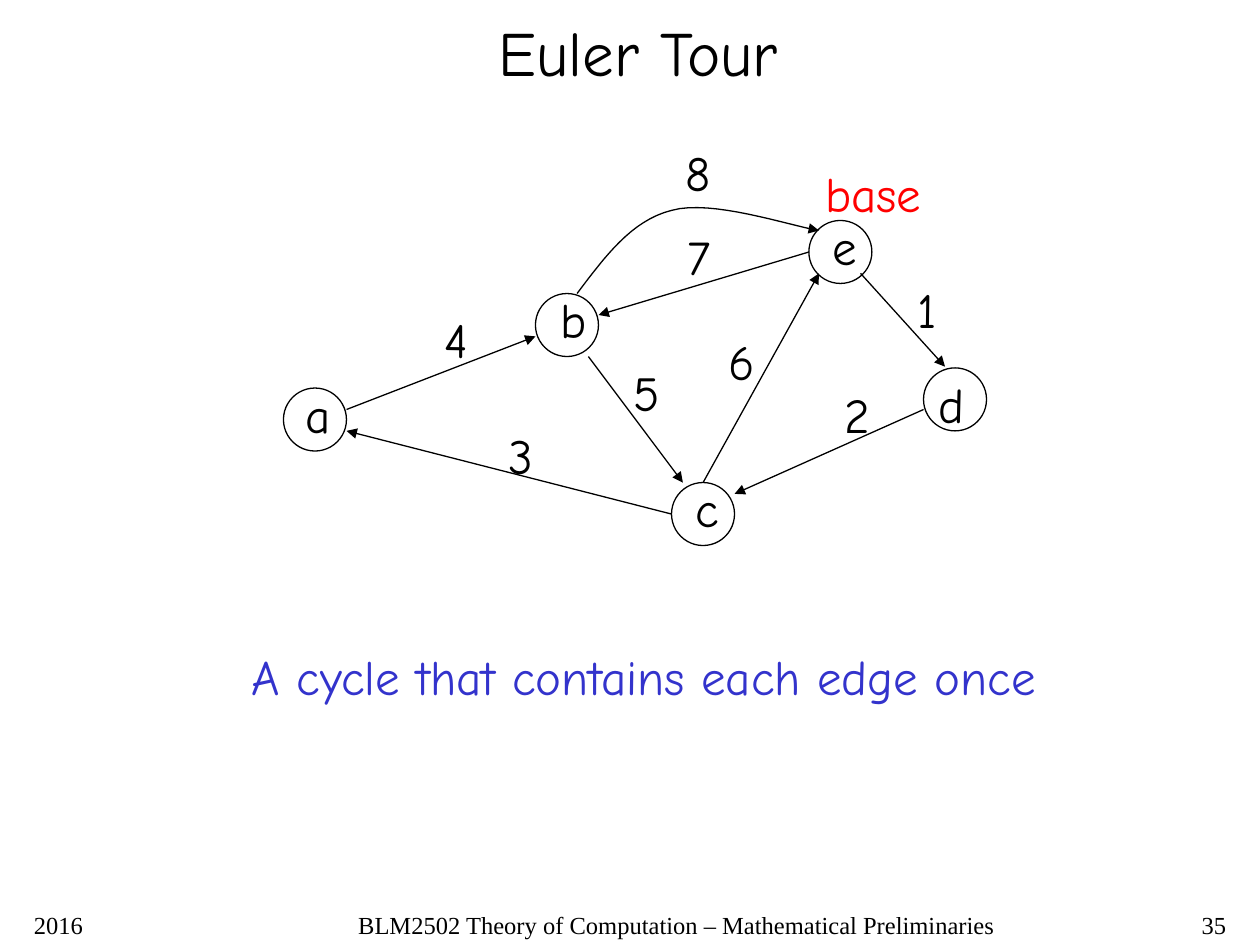
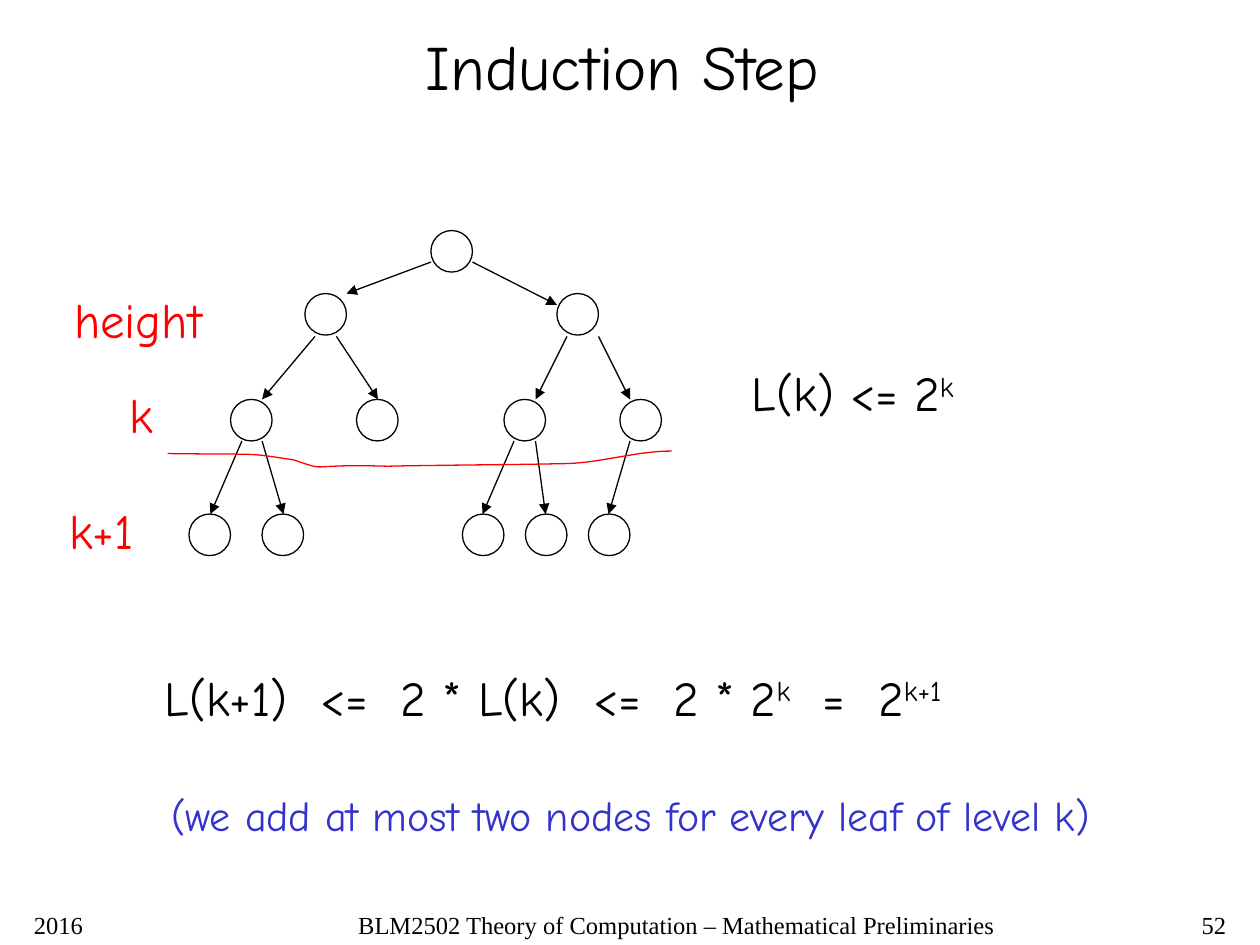
from pptx import Presentation
from pptx.dml.color import RGBColor
from pptx.enum.shapes import MSO_CONNECTOR, MSO_SHAPE
from pptx.enum.text import MSO_AUTO_SIZE, PP_ALIGN
from pptx.oxml.ns import qn
from pptx.util import Inches, Pt
from lxml.etree import SubElement

COLORS = {"ink": "000000", "red": "FF0000", "blue": "3333CC"}
HAND, SERIF = "Comic Neue", "Times New Roman"
STEPS = 16


def color(name):
    return RGBColor.from_string(COLORS[name])


def bezier(a, b, c, d):
    """Points along a cubic curve, without its start."""
    for step in range(1, STEPS + 1):
        t = step / STEPS
        u = 1 - t
        yield tuple(u**3 * p + 3 * u * u * t * q + 3 * u * t * t * r + t**3 * s
                    for p, q, r, s in zip(a, b, c, d))


class Deck:
    def __init__(self):
        self.file = Presentation()
        self.file.slide_width, self.file.slide_height = Inches(10), Inches(7.5)
        self.slide = None

    def page(self, title, left, top, width, number):
        self.slide = self.file.slides.add_slide(self.file.slide_layouts[6])
        self.text(title, left, top, width, height=0.7, size=36)
        foot = dict(top=7.17, height=0.33, size=14, font=SERIF, wrap=True)
        self.text("2016", 0.17, width=1.75, **foot)
        self.text("BLM2502 Theory of Computation – Mathematical Preliminaries",
                  2.33, width=6.08, align=PP_ALIGN.CENTER, **foot)
        self.text(str(number), 7.75, width=2.08, align=PP_ALIGN.RIGHT, **foot)

    def text(self, words, left, top, width, height=0.57, size=28, font=HAND,
             ink="ink", align=PP_ALIGN.LEFT, wrap=False):
        """Add a text box; each ^ switches superscript on or off."""
        box = self.slide.shapes.add_textbox(
            Inches(left), Inches(top), Inches(width), Inches(height))
        frame = box.text_frame
        frame.word_wrap = wrap
        frame.auto_size = MSO_AUTO_SIZE.NONE if wrap else MSO_AUTO_SIZE.SHAPE_TO_FIT_TEXT
        para = frame.paragraphs[0]
        para.alignment = align
        for i, part in enumerate(words.split("^")):
            run = para.add_run()
            run.text = part
            run.font.size, run.font.name = Pt(size), font
            run.font.color.rgb = color(ink)
            if i % 2:
                run._r.get_or_add_rPr().set("baseline", "30000")

    def stroke(self, shape, ink="ink", arrow=False):
        shape.line.color.rgb = color(ink)
        shape.line.width = Pt(0.75)
        if arrow:
            line = shape.element.spPr.find(qn("a:ln"))
            SubElement(line, qn("a:tailEnd"), type="triangle")

    def node(self, left, top, size):
        shape = self.slide.shapes.add_shape(
            MSO_SHAPE.OVAL, Inches(left), Inches(top), Inches(size), Inches(size))
        shape.fill.background()
        shape.shadow.inherit = False
        self.stroke(shape)

    def edge(self, x1, y1, x2, y2):
        line = self.slide.shapes.add_connector(
            MSO_CONNECTOR.STRAIGHT, Inches(x1), Inches(y1), Inches(x2), Inches(y2))
        self.stroke(line, arrow=True)
        SubElement(line.element.spPr, qn("a:effectLst"))

    def curve(self, start, *parts, ink="ink", arrow=False):
        """Draw an open curve; each part is two control points and an end."""
        points, last = [], start
        for part in parts:
            points += bezier(last, *part)
            last = part[-1]
        path = self.slide.shapes.build_freeform(Inches(start[0]), Inches(start[1]))
        path.add_line_segments([(Inches(x), Inches(y)) for x, y in points], close=False)
        shape = path.convert_to_shape()
        shape.fill.background()
        shape.shadow.inherit = False
        self.stroke(shape, ink, arrow)


def euler(deck):
    deck.page("Euler Tour", 3.86, 0.06, 2.5, 35)
    # name, node left and top, label left and top
    for name, left, top, x, y in (
            ("a", 2.25, 3.08, 2.33, 3), ("b", 4.25, 2.33, 4.35, 2.25),
            ("c", 5.33, 3.83, 5.42, 3.75), ("d", 7.33, 2.92, 7.35, 2.92),
            ("e", 6.42, 1.75, 6.51, 1.67)):
        deck.node(left, top, 0.5)
        deck.text(name, x, y, 0.42)
    # edges in tour order, each with the place of its number
    tour = (
        ((6.83, 2.17, 7.5, 2.91), (7.18, 2.17)),
        ((7.33, 3.25, 5.83, 3.92), (6.6, 3)),
        ((5.33, 4.08, 2.75, 3.42), (3.94, 3.33)),
        ((2.75, 3.25, 4.25, 2.67), (3.43, 2.41)),
        ((4.67, 2.83, 5.42, 3.83), (4.93, 2.83)),
        ((5.58, 3.83, 6.5, 2.17), (5.68, 2.58)),
        ((6.42, 2, 4.75, 2.5), (5.36, 1.75)))
    for number, (ends, spot) in enumerate(tour, 1):
        deck.edge(*ends)
        deck.text(str(number), *spot, 0.42)
    deck.curve((4.58, 2.33), ((4.8, 2.04), (5.01, 1.75), (5.33, 1.67)),
               ((5.65, 1.58), (6.26, 1.79), (6.5, 1.83)), arrow=True)
    deck.text("8", 5.34, 1.08, 0.42)
    deck.text("base", 6.45, 1.25, 1, ink="red")
    deck.text("A cycle that contains each edge once", 1.9, 5.08, 6.5, ink="blue")


def induction(deck):
    deck.page("Induction Step", 3.28, 0.17, 3.4, 52)
    levels = {1.83: (3.42,), 2.33: (2.42, 4.42), 3.17: (1.83, 2.83, 4, 4.92),
              4.08: (1.5, 2.08, 3.67, 4.17, 4.67)}
    for top, lefts in levels.items():
        for left in lefts:
            deck.node(left, top, 0.33)
    deck.edge(3.42, 2.08, 2.75, 2.33)
    deck.edge(3.75, 2.08, 4.42, 2.42)
    gaps = {
        (2.67, 3.17): ((2.5, 2.08), (2.67, 3), (4.5, 4.25), (4.75, 5)),
        (3.5, 4.08): ((1.92, 1.67), (2.08, 2.25), (4.08, 3.83), (4.25, 4.33), (5, 4.83))}
    for (top, low), pairs in gaps.items():
        for x1, x2 in pairs:
            deck.edge(x1, top, x2, low)
    deck.curve((1.33, 3.6), ((2.12, 3.61), (1.93, 3.59), (2.33, 3.65)),
               ((2.63, 3.75), (2.39, 3.68), (3.08, 3.7)),
               ((3.54, 3.69), (4, 3.69), (4.46, 3.68)),
               ((4.75, 3.68), (5.04, 3.58), (5.33, 3.58)), ink="red")
    for words, left, top, width in (
            ("height", 0.49, 2.25, 1.3), ("k", 0.93, 3, 0.42), ("k+1", 0.45, 3.92, 0.8)):
        deck.text(words, left, top, width, ink="red")
    deck.text("L(k) <= 2^k", 5.87, 2.83, 1.9)
    deck.text("L(k+1)  <=  2 * L(k)  <=  2 * 2^k^  =  2^k+1", 1.21, 5.25, 6.5)
    deck.text("(we add at most two nodes for every leaf of level k)",
              1.26, 6.22, 7.6, height=0.5, size=24, ink="blue")


def main():
    deck = Deck()
    euler(deck)
    induction(deck)
    deck.file.save("out.pptx")


if __name__ == "__main__":
    main()
